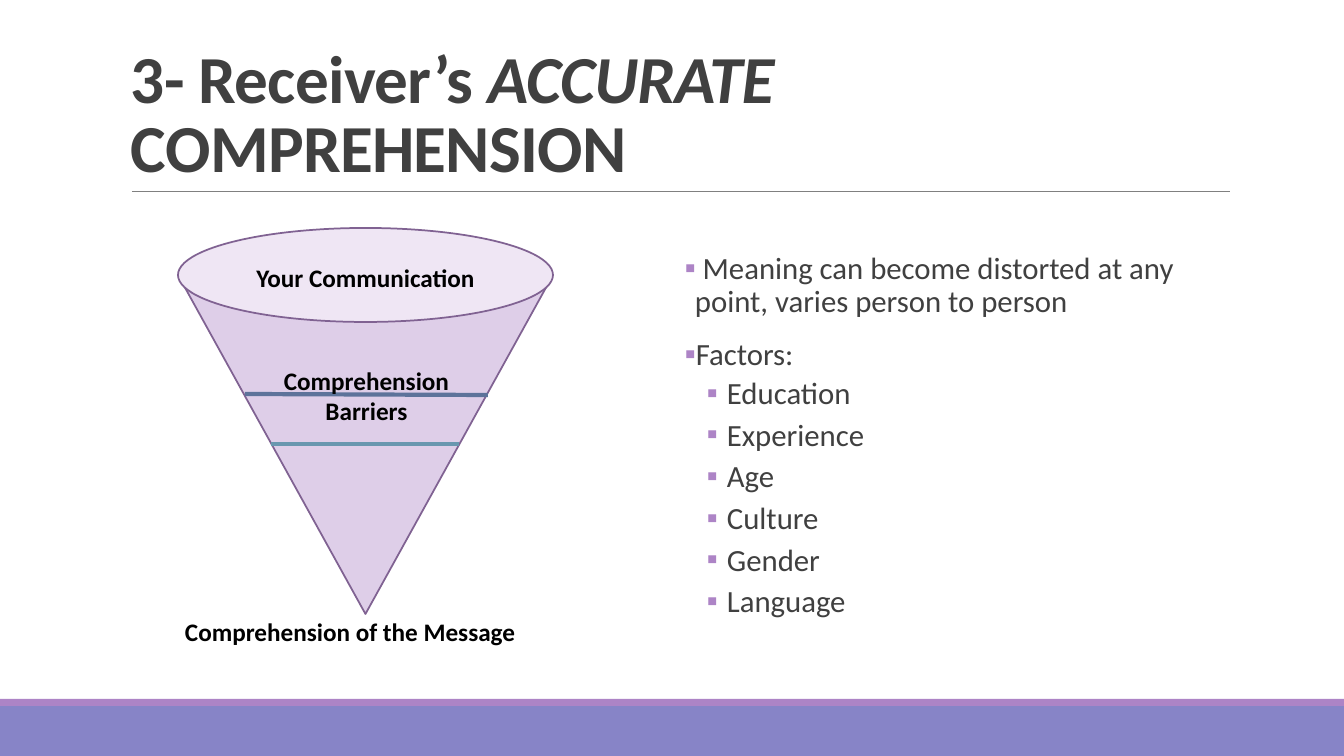
from dataclasses import dataclass

from lxml.etree import SubElement
from pptx import Presentation
from pptx.dml.color import RGBColor
from pptx.enum.shapes import MSO_CONNECTOR, MSO_SHAPE
from pptx.enum.text import MSO_ANCHOR, PP_ALIGN
from pptx.oxml.ns import qn
from pptx.util import Pt

EMU_PER_PX = 9144000 / 1008


@dataclass(frozen=True)
class Theme:
    font: str = "Calibri"
    text: str = "404040"
    label: str = "000000"
    accent: str = "AD84C6"
    footer: str = "8784C7"
    rule: str = "808080"
    funnel: str = "DECEE8"
    funnel_top: str = "EFE6F4"
    funnel_outline: str = "806292"
    upper_barrier: str = "5D739A"
    lower_barrier: str = "6997AF"
    title_size: int = 48
    body_size: int = 22
    label_size: int = 18


THEME = Theme()
FACTORS = ["Education", "Experience", "Age", "Culture", "Gender", "Language"]


def px(length):
    return round(length * EMU_PER_PX)


def color(value):
    return RGBColor.from_string(value)


def add_block(slide, kind, box, fill, outline=None):
    shape = slide.shapes.add_shape(kind, *map(px, box))
    shape.shadow.inherit = False
    shape.fill.solid()
    shape.fill.fore_color.rgb = color(fill)
    if outline:
        shape.line.color.rgb = color(outline)
        shape.line.width = Pt(1.25)
    else:
        shape.line.fill.background()


def add_line(slide, start, end, stroke, width):
    connector = slide.shapes.add_connector(
        MSO_CONNECTOR.STRAIGHT, *map(px, (*start, *end)))
    connector.line.color.rgb = color(stroke)
    connector.line.width = Pt(width)
    SubElement(connector._element.spPr, qn("a:effectLst"))


def add_frame(slide, box, anchor=MSO_ANCHOR.TOP, side_inset=10):
    frame = slide.shapes.add_textbox(*map(px, box)).text_frame
    frame.word_wrap = True
    frame.vertical_anchor = anchor
    frame.margin_left = frame.margin_right = px(side_inset)
    frame.margin_top = frame.margin_bottom = px(5)
    return frame


def add_text(paragraph, text, size, fill, bold=False, italic=False, spacing=0):
    run = paragraph.add_run()
    run.text = text
    run.font.name = THEME.font
    run.font.size = Pt(size)
    run.font.color.rgb = color(fill)
    run.font.bold = bold
    run.font.italic = italic
    if spacing:
        run._r.get_or_add_rPr().set("spc", str(spacing))


def add_title(slide):
    frame = add_frame(slide, (121, 31, 1140, 160), anchor=MSO_ANCHOR.BOTTOM)
    paragraph = frame.paragraphs[0]
    paragraph.line_spacing = 0.85
    for text, italic in (("3- Receiver’s ", False), ("ACCURATE", True),
                         (" COMPREHENSION", False)):
        add_text(paragraph, text, THEME.title_size, THEME.text,
                 bold=True, italic=italic, spacing=-50)


def add_bullet(paragraph, text, level=0):
    left, hanging = ((10, 10), (42, 20))[level]
    before, after = ((12, 2), (2, 4))[level]
    paragraph.level = level
    paragraph.line_spacing = 0.9
    paragraph.space_before = Pt(before)
    paragraph.space_after = Pt(after)
    properties = paragraph._p.get_or_add_pPr()
    properties.set("marL", str(px(left)))
    properties.set("indent", str(px(-hanging)))
    bullet_color = SubElement(properties, qn("a:buClr"))
    SubElement(bullet_color, qn("a:srgbClr"), val=THEME.accent)
    SubElement(properties, qn("a:buFont"), typeface=THEME.font)
    SubElement(properties, qn("a:buChar"), char="▪")
    add_text(paragraph, text, THEME.body_size, THEME.text)


def add_body(slide):
    frame = add_frame(slide, (685, 248, 544, 399), side_inset=0)
    add_bullet(frame.paragraphs[0],
               " Meaning can become distorted at any point, varies person to person")
    add_bullet(frame.add_paragraph(), "Factors:")
    for factor in FACTORS:
        add_bullet(frame.add_paragraph(), factor, level=1)


def add_label(slide, text, box, alignment=PP_ALIGN.CENTER):
    paragraph = add_frame(slide, box).paragraphs[0]
    paragraph.alignment = alignment
    add_text(paragraph, text, THEME.label_size, THEME.label, bold=True)


def add_funnel(slide):
    add_block(slide, MSO_SHAPE.FLOWCHART_MERGE, (178, 275, 375, 339),
              THEME.funnel, THEME.funnel_outline)
    add_block(slide, MSO_SHAPE.OVAL, (178, 228, 375, 94),
              THEME.funnel_top, THEME.funnel_outline)
    add_line(slide, (245, 394), (488, 395), THEME.upper_barrier, 3)
    add_line(slide, (271, 444), (459, 444), THEME.lower_barrier, 3)
    add_label(slide, "Your Communication", (234, 257, 263, 40))
    add_label(slide, "Comprehension Barriers", (250, 360, 233, 72))
    add_label(slide, "Comprehension of the Message", (175, 611, 377, 40),
              alignment=PP_ALIGN.LEFT)


def main():
    presentation = Presentation()
    presentation.slide_width = px(1344)
    presentation.slide_height = px(756)
    slide = presentation.slides.add_slide(presentation.slide_layouts[6])
    add_block(slide, MSO_SHAPE.RECTANGLE, (0, 706, 1344, 50), THEME.footer)
    add_block(slide, MSO_SHAPE.RECTANGLE, (0, 699, 1344, 7), THEME.accent)
    add_line(slide, (132, 191), (1230, 191), THEME.rule, 0.5)
    add_title(slide)
    add_body(slide)
    add_funnel(slide)
    presentation.save("out.pptx")


if __name__ == "__main__":
    main()
